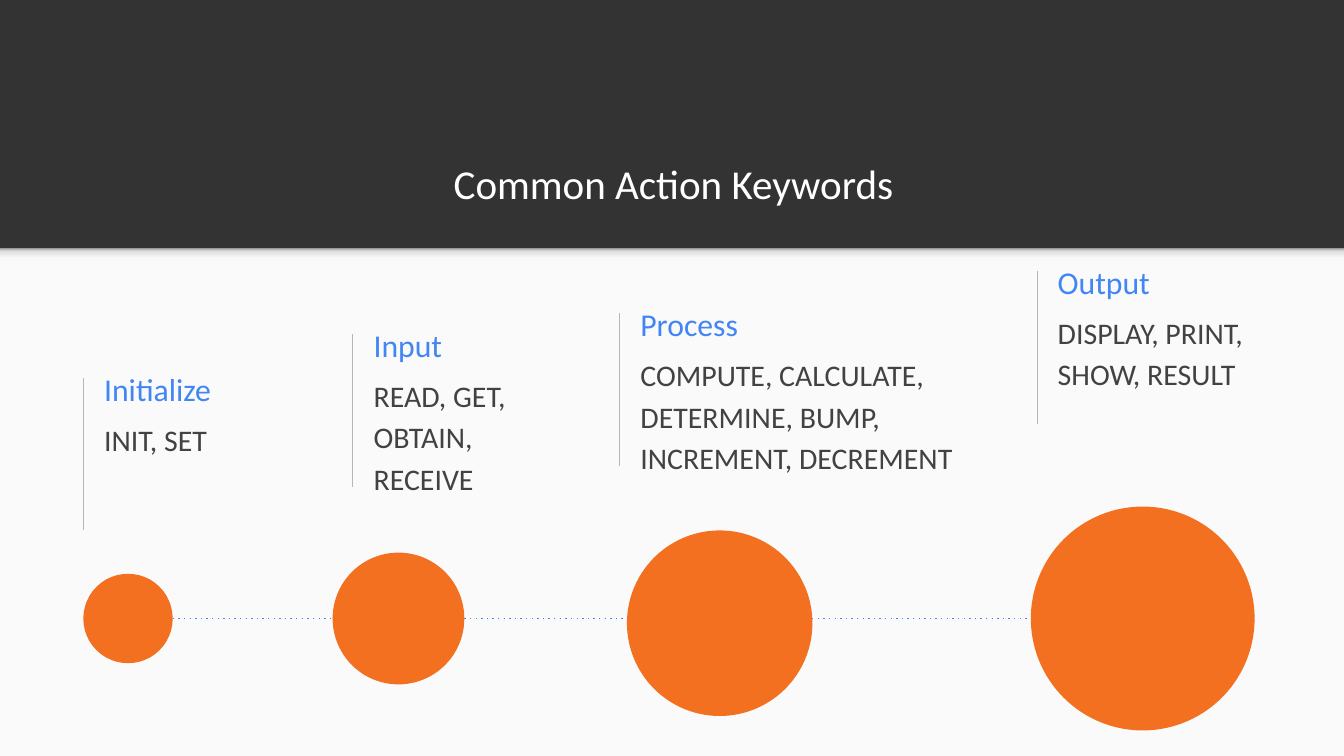
from lxml import etree
from pptx import Presentation
from pptx import util as u
from pptx.dml.color import RGBColor
from pptx.enum import shapes, text
from pptx.oxml import ns

WIDTH, HEIGHT = u.Emu(18288000), u.Emu(10282238)
COLS, ROWS = WIDTH.inches, HEIGHT.inches
DARK, LIGHT, WHITE = "333333", "FAFAFA", "FFFFFF"
BLUE, ORANGE, GREY, INK = "4285F4", "F37021", "B7B7B7", "424242"
SHADE = [(0, "F9F9F9"), (36, "F9F9F9"), (80, "DEDEDE"), (100, "999999")]
HORIZON, AXIS = 3.69, 9.2

# heading, keywords, rule (column, row), body (columns, rows), circle (column, diameter, centre row)
STEPS = [
    ("Initialize", "INIT, SET", (1.24, 5.62), (3.47, 1.27), (1.24, 1.33, AXIS)),
    ("Input", "READ, GET, OBTAIN, RECEIVE", (5.25, 4.97), (3.43, 2.37), (4.95, 1.96, AXIS)),
    ("Process", "COMPUTE, CALCULATE, DETERMINE, BUMP, INCREMENT, DECREMENT",
     (9.22, 4.66), (6.11, 2.68), (9.33, 2.76, 9.27)),
    ("Output", "DISPLAY, PRINT, SHOW, RESULT", (15.43, 4.03), (4.23, 2.23), (15.34, 3.33, AXIS)),
]


def rgb(color):
    return RGBColor.from_string(color)


class Deck:
    """Places elements by column and row on the current slide."""

    def __init__(self, font="Calibri"):
        self.font = font
        self.prs = Presentation()
        self.prs.slide_width, self.prs.slide_height = WIDTH, HEIGHT
        self.s = None

    def add_slide(self, background):
        self.s = self.prs.slides.add_slide(self.prs.slide_layouts[6])
        fill = self.s.background.fill
        fill.solid()
        fill.fore_color.rgb = rgb(background)

    def place(self, *lengths):
        """Turn alternating columns and rows into slide lengths."""
        units = WIDTH / COLS, HEIGHT / ROWS
        return [round(n * units[i % 2]) for i, n in enumerate(lengths)]

    def shape(self, kind, x, y, w, h, color):
        sp = self.s.shapes.add_shape(kind, *self.place(x, y, w, h))
        sp.shadow.inherit = False
        sp.line.fill.background()
        sp.fill.solid()
        sp.fill.fore_color.rgb = rgb(color)
        return sp

    def shade(self, x, y, w, h, stops):
        """Add a band whose gradient runs from bottom to top."""
        sp = self.shape(shapes.MSO_SHAPE.RECTANGLE, x, y, w, h, stops[0][1])
        sp.fill.gradient()
        sp.fill.gradient_angle = 90
        stop_list = sp._element.spPr.find(".//" + ns.qn("a:gsLst"))
        for old in list(stop_list):
            stop_list.remove(old)
        for percent, color in stops:
            gs = etree.SubElement(stop_list, ns.qn("a:gs"), pos=str(percent * 1000))
            etree.SubElement(gs, ns.qn("a:srgbClr"), val=color)

    def line(self, x1, y1, x2, y2, color, width, dash=None):
        cx = self.s.shapes.add_connector(shapes.MSO_CONNECTOR.STRAIGHT, *self.place(x1, y1, x2, y2))
        cx.line.color.rgb = rgb(color)
        cx.line.width = u.Pt(width)
        if dash:
            ln = cx._element.spPr.find(ns.qn("a:ln"))
            etree.SubElement(ln, ns.qn("a:prstDash"), val=dash)
        etree.SubElement(cx._element.spPr, ns.qn("a:effectLst"))

    def text(self, words, x, y, w, h, size, color, anchor="TOP", align="LEFT"):
        tf = self.s.shapes.add_textbox(*self.place(x, y, w, h)).text_frame
        tf.word_wrap = True
        tf.vertical_anchor = text.MSO_ANCHOR[anchor]
        tf.margin_left = tf.margin_right = tf.margin_top = tf.margin_bottom = u.Inches(0.2)
        p = tf.paragraphs[0]
        p.text = words
        p.alignment = text.PP_ALIGN[align]
        p.font.name, p.font.size = self.font, u.Pt(size)
        p.font.color.rgb = rgb(color)
        return p

    def step(self, heading, keywords, x, y, body_w, body_h):
        """Add a vertical rule with a heading and keywords to its right."""
        self.line(x, y, x, y + 2.27, GREY, 0.75)
        self.text(heading, x + 0.11, y - 0.27, 3.97, 0.86, 34, BLUE, "MIDDLE")
        p = self.text(keywords, x + 0.11, y + 0.37, body_w, body_h, 32, INK)
        p.line_spacing, p.space_after = 1.15, u.Pt(32)


def main():
    deck = Deck()
    deck.add_slide(DARK)
    deck.shape(shapes.MSO_SHAPE.RECTANGLE, 0, HORIZON, COLS, ROWS - HORIZON, LIGHT)
    deck.shade(0, HORIZON, COLS, 0.24, SHADE)
    deck.text("Common Action Keywords", 1.03, 1.61, 17.99, 1.68, 44, WHITE, "BOTTOM", "CENTER")

    first_x, first_size, _ = STEPS[0][-1]
    last_x = STEPS[-1][-1][0]
    deck.line(first_x + first_size, AXIS, last_x, AXIS, BLUE, 1.5, "dot")
    for heading, keywords, rule, body, (x, size, centre) in STEPS:
        deck.shape(shapes.MSO_SHAPE.OVAL, x, centre - size / 2, size, size, ORANGE)
        deck.step(heading, keywords, *rule, *body)

    deck.prs.save("out.pptx")


if __name__ == "__main__":
    main()
